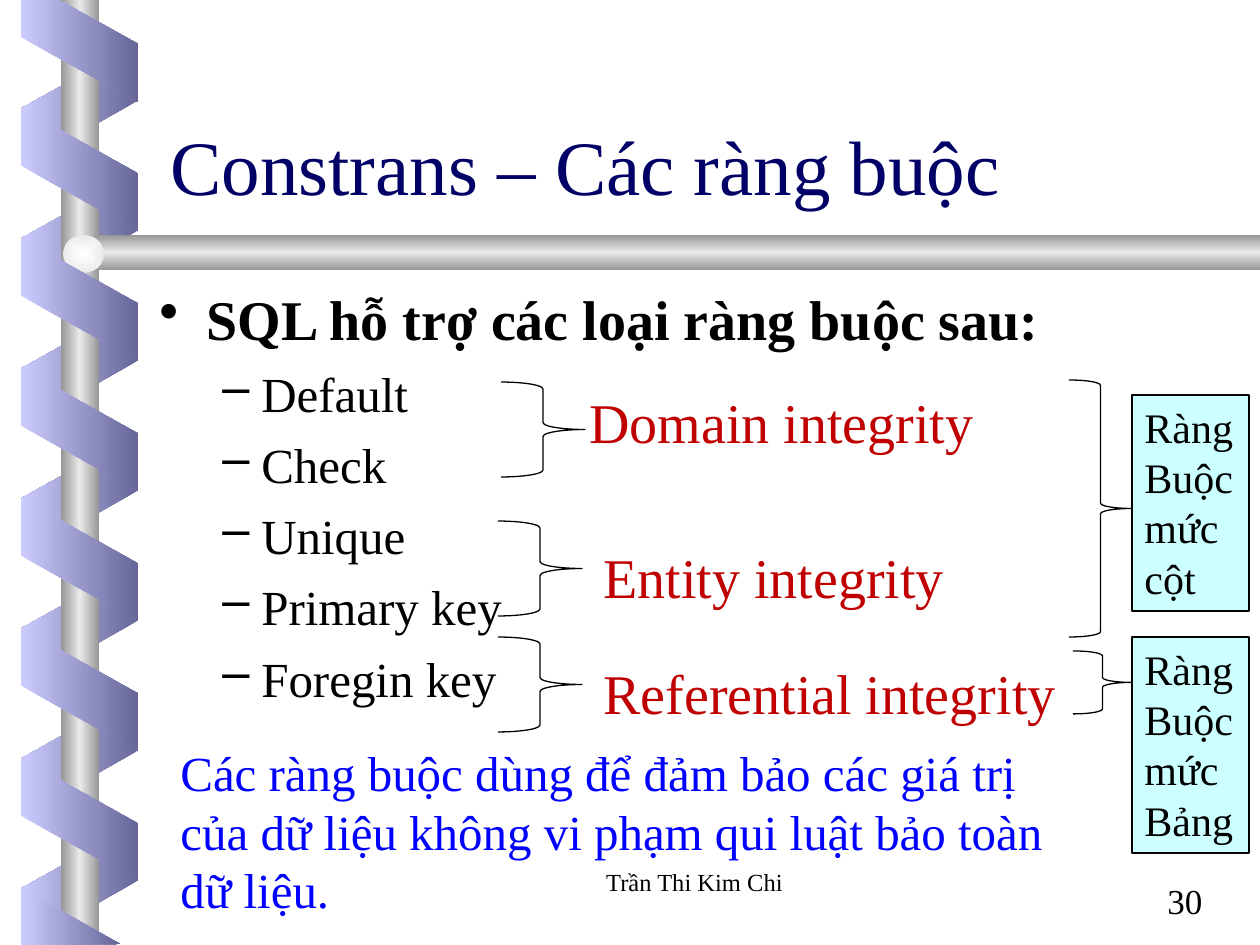
from pptx import Presentation
from pptx.dml.color import RGBColor
from pptx.enum.shapes import MSO_SHAPE as SHAPE
from pptx.enum.text import MSO_ANCHOR as ANCHOR, PP_ALIGN as ALIGN
from pptx.oxml import parse_xml
from pptx.oxml.ns import nsdecls
from pptx.util import Pt

SCALE = 914400 / 126
FONT = "Times New Roman"
BLACK, NAVY, RED, BLUE, AQUA = "000000", "000066", "C00000", "0000FF", "CCFFFF"
LIGHT_TO_DARK = ["CCCCFF", "666699"]
DARK_TO_LIGHT = LIGHT_TO_DARK[::-1]
METAL = ["969696", "EAEAEA", "969696"]
PEARL = ["FEFFFF", "EAEAEA"]
LINEAR = '<a:lin ang="{}" scaled="1"/>'
CENTRED = '<a:path path="shape"><a:fillToRect l="50000" t="50000" r="50000" b="50000"/></a:path>'
HORIZONTAL, VERTICAL = LINEAR.format(0), LINEAR.format(5400000)
BAND_PITCH = 130


def px(length):
    return round(length * SCALE)


def color(code):
    return RGBColor.from_string(code)


def fill_gradient(shape, colors, direction):
    shape.shadow.inherit = False
    shape.line.fill.background()
    shape.fill.background()
    step = 100000 // (len(colors) - 1)
    stops = "".join(
        f'<a:gs pos="{index * step}"><a:srgbClr val="{code}"/></a:gs>'
        for index, code in enumerate(colors))
    gradient = parse_xml(
        f'<a:gradFill rotWithShape="0" {nsdecls("a")}>'
        f"<a:gsLst>{stops}</a:gsLst>{direction}</a:gradFill>")
    properties = shape._element.spPr
    properties.replace(properties.find("{*}noFill"), gradient)


def add_gradient_shape(slide, kind, box, colors, direction=HORIZONTAL, flip=False):
    shape = slide.shapes.add_shape(kind, *map(px, box))
    if flip:
        shape._element.spPr.xfrm.set("flipH", "1")
    fill_gradient(shape, colors, direction)
    return shape


def add_bands(slide, top, count, rotation, colors, flip=False):
    for index in range(count):
        box = (18, top + index * BAND_PITCH, 123, 117)
        band = add_gradient_shape(slide, SHAPE.PARALLELOGRAM, box, colors, flip=flip)
        band.adjustments[0] = 0.56
        band.rotation = rotation


def add_band_end(slide, points):
    builder = slide.shapes.build_freeform(*points[0], scale=SCALE)
    builder.add_line_segments(points[1:], close=True)
    fill_gradient(builder.convert_to_shape(), LIGHT_TO_DARK, HORIZONTAL)


def add_run(paragraph, text, size, code, bold=False):
    run = paragraph.add_run()
    run.text = text
    run.font.name = FONT
    run.font.size = Pt(size)
    run.font.bold = bold
    run.font.color.rgb = color(code)


def add_text(slide, box, text, size, code, wrap=True, anchor=ANCHOR.TOP, align=ALIGN.LEFT):
    frame = slide.shapes.add_textbox(*map(px, box)).text_frame
    frame.word_wrap = wrap
    frame.vertical_anchor = anchor
    frame.paragraphs[0].alignment = align
    add_run(frame.paragraphs[0], text, size, code)


def add_bullet(paragraph, mark, margin, hanging):
    properties = paragraph._p.get_or_add_pPr()
    properties.set("marL", str(px(margin)))
    properties.set("indent", str(-px(hanging)))
    properties.append(parse_xml(f'<a:buChar {nsdecls("a")} char="{mark}"/>'))


def add_constraint_list(slide, box, heading, items):
    frame = slide.shapes.add_textbox(*map(px, box)).text_frame
    frame.word_wrap = True
    paragraph = frame.paragraphs[0]
    add_bullet(paragraph, "•", 47, 47)
    add_run(paragraph, heading, 32, BLACK, bold=True)
    for item in items:
        paragraph = frame.add_paragraph()
        paragraph.level = 1
        add_bullet(paragraph, "–", 102, 39)
        paragraph.space_before = Pt(7)
        add_run(paragraph, item, 28, BLACK)


def outline(shape):
    shape.shadow.inherit = False
    shape.line.color.rgb = color(BLACK)
    shape.line.width = Pt(0.75)


def add_brace(slide, *box):
    brace = slide.shapes.add_shape(SHAPE.RIGHT_BRACE, *map(px, box))
    brace.fill.background()
    outline(brace)


def add_level_box(slide, top, words):
    shape = slide.shapes.add_shape(SHAPE.RECTANGLE, *map(px, (1132, top, 117, 216)))
    shape.fill.solid()
    shape.fill.fore_color.rgb = color(AQUA)
    outline(shape)
    frame = shape.text_frame
    frame.word_wrap = False
    frame.vertical_anchor = ANCHOR.TOP
    for index, word in enumerate(words):
        paragraph = frame.add_paragraph() if index else frame.paragraphs[0]
        paragraph.alignment = ALIGN.LEFT
        add_run(paragraph, word, 24, BLACK)


def add_spiral_binding(slide):
    add_bands(slide, 46, 7, 90, DARK_TO_LIGHT, flip=True)
    add_gradient_shape(slide, SHAPE.RECTANGLE, (61, 0, 38, 945), METAL)
    rod = add_gradient_shape(
        slide, SHAPE.PENTAGON, (76, 235, 1184, 35), METAL, VERTICAL, flip=True)
    rod.adjustments[0] = 0.59
    add_gradient_shape(slide, SHAPE.OVAL, (63, 235, 41, 38), PEARL, CENTRED)
    add_bands(slide, 111, 6, 270, LIGHT_TO_DARK)
    add_band_end(slide, [(21, 0), (21, 37), (138, 102), (138, 44), (59, 0)])
    add_band_end(slide, [(120, 944), (21, 888), (21, 945)])


def main():
    """Build the slide on SQL constraints and save it."""
    presentation = Presentation()
    presentation.slide_width, presentation.slide_height = px(1260), px(945)
    slide = presentation.slides.add_slide(presentation.slide_layouts[6])
    add_spiral_binding(slide)
    add_text(slide, (1155, 873, 105, 54), "30", 20, BLACK)
    add_text(slide, (158, 112, 1071, 105), "Constrans – Các ràng buộc", 44, NAVY,
             anchor=ANCHOR.BOTTOM)
    add_constraint_list(slide, (147, 278, 1081, 562), "SQL hỗ trợ các loại ràng buộc sau:",
                        ["Default", "Check", "Unique", "Primary key", "Foregin key"])
    integrities = [
        ("Domain integrity", (577, 381, 413, 81), (501, 382)),
        ("Entity integrity", (591, 536, 369, 81), (498, 521)),
        ("Referential integrity", (591, 652, 483, 81), (498, 637)),
    ]
    for name, box, brace_corner in integrities:
        add_text(slide, box, name, 32, RED, wrap=False)
        add_brace(slide, *brace_corner, 84, 95)
    add_text(slide, (168, 736, 925, 251),
             "Các ràng buộc dùng để đảm bảo các giá trị của dữ liệu không vi phạm "
             "qui luật bảo toàn dữ liệu.", 28, BLUE)
    add_brace(slide, 1069, 380, 63, 257)
    add_brace(slide, 1073, 651, 59, 63)
    add_level_box(slide, 395, ["Ràng", "Buộc", "mức", "cột"])
    add_level_box(slide, 637, ["Ràng", "Buộc", "mức", "Bảng"])
    add_text(slide, (495, 861, 399, 63), "Trần Thi Kim Chi", 14, BLACK, align=ALIGN.CENTER)
    presentation.save("out.pptx")


if __name__ == "__main__":
    main()
